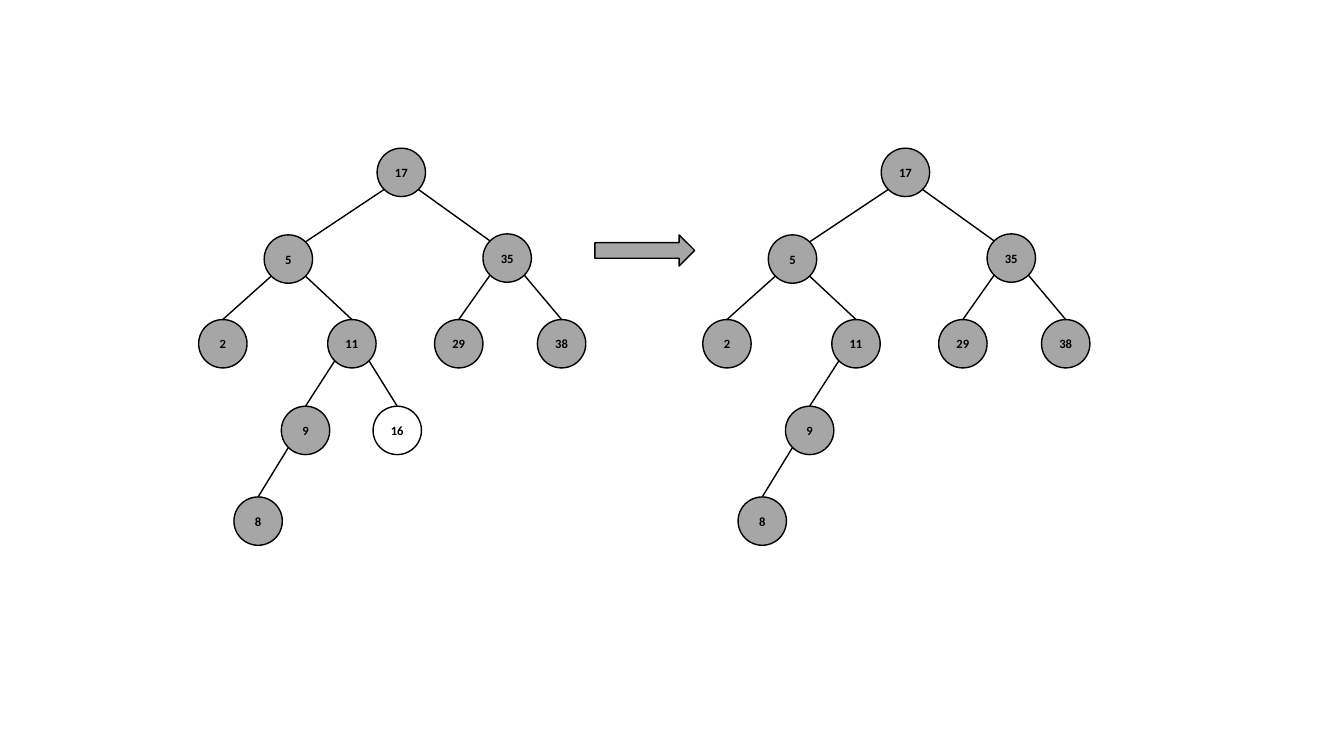
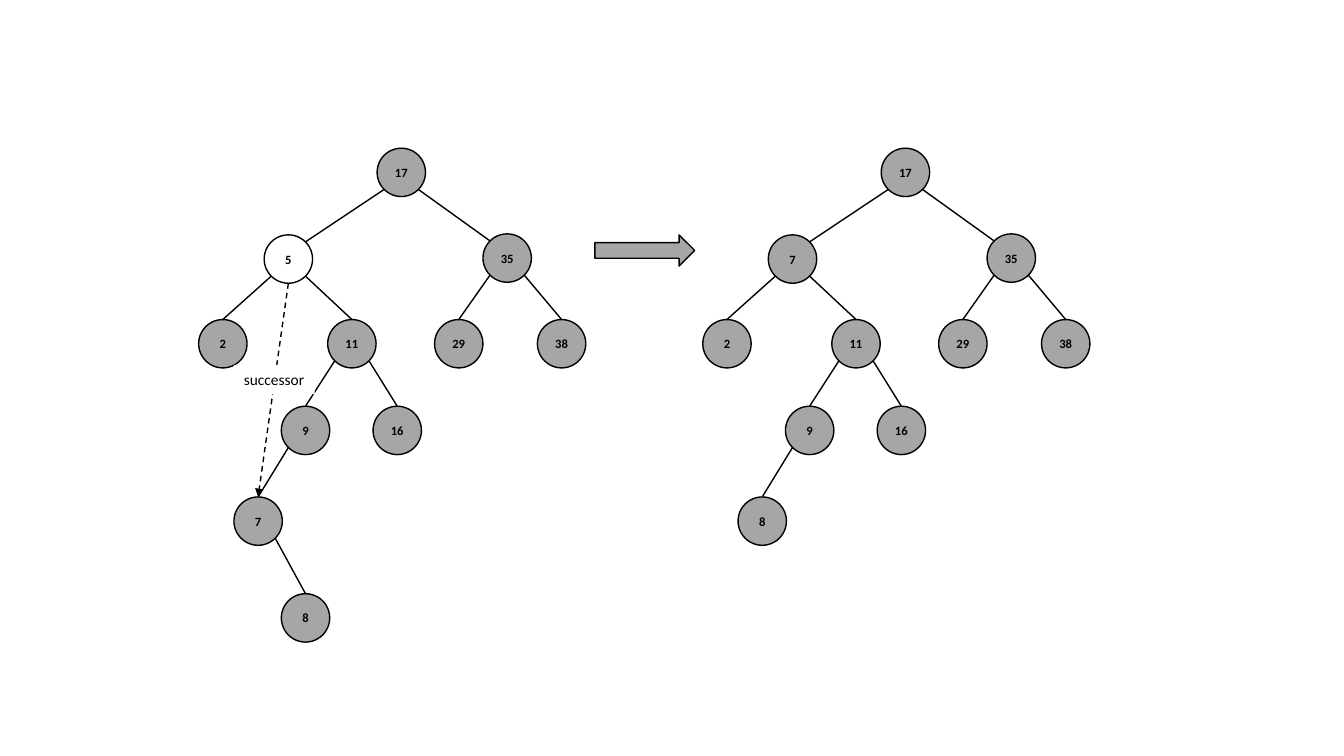
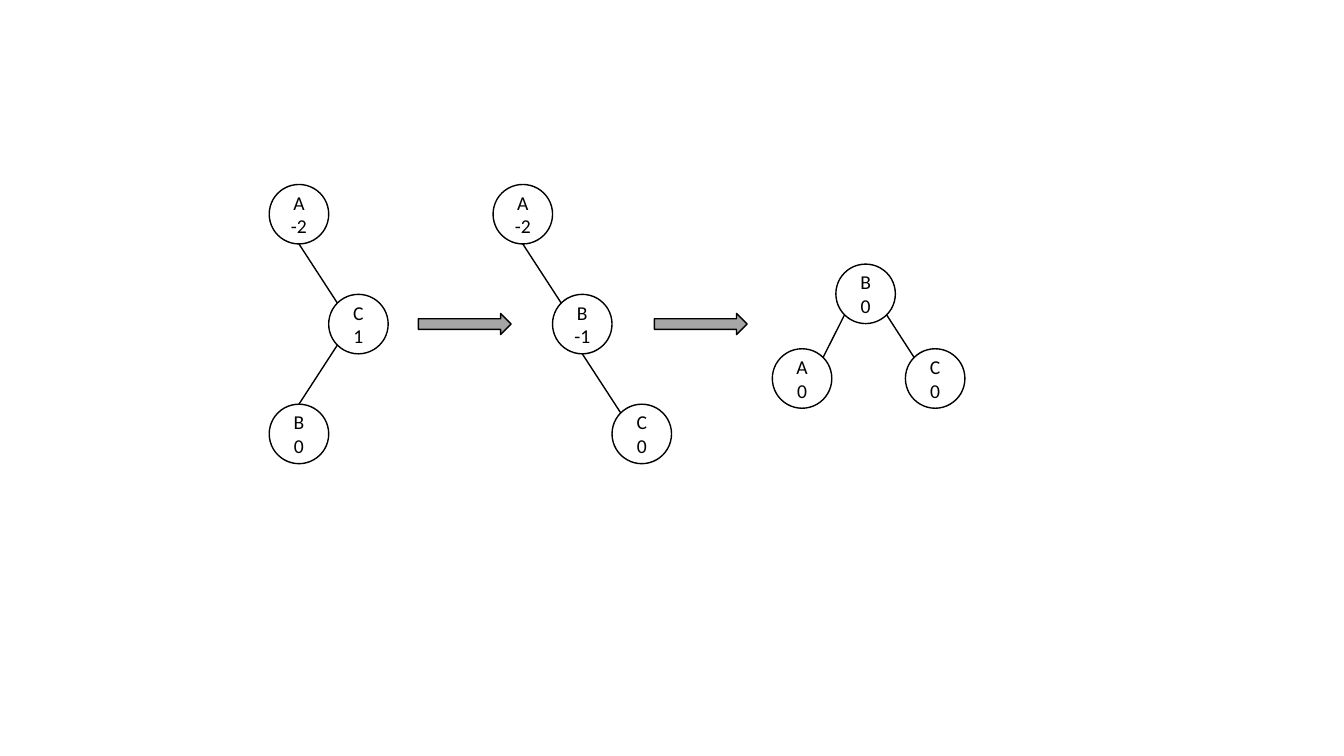
import collections
import math

import lxml.etree
import pptx
import pptx.dml.color
import pptx.enum.dml
import pptx.enum.shapes
import pptx.enum.text
import pptx.oxml.ns
import pptx.util

PX = 9144
COLORS = {"ink": "000000", "grey": "A6A6A6", "white": "FFFFFF"}
FONT = "Calibri"
LINE_WIDTH = pptx.util.Pt(1)
SHAPES = pptx.enum.shapes.MSO_SHAPE
ALIGN = pptx.enum.text.PP_ALIGN

Box = collections.namedtuple("Box", "left top width height")
NodeStyle = collections.namedtuple("NodeStyle", "size points bold")
Node = collections.namedtuple("Node", "left top lines fill")
Edge = collections.namedtuple("Edge", "start start_site end end_site")

SEARCH_STYLE = NodeStyle(48, 9, True)
BALANCE_STYLE = NodeStyle(59, 14, False)

NEAR = 0.5 - math.sqrt(0.125)
FAR = 1 - NEAR
SITES = {
    "top": (0.5, 0),
    "bottom": (0.5, 1),
    "top left": (NEAR, NEAR),
    "top right": (FAR, NEAR),
    "bottom left": (NEAR, FAR),
    "bottom right": (FAR, FAR),
}

SLOTS = {
    "": (177, 0),
    "L": (65, 86),
    "R": (282, 85),
    "LL": (0, 170),
    "LR": (128, 170),
    "RL": (234, 170),
    "RR": (336, 170),
    "LRL": (82, 256),
    "LRR": (173, 256),
    "LRLL": (35, 346),
    "LRLLR": (82, 442),
}
COMMON_KEYS = {
    "": "17", "L": "5", "R": "35", "LL": "2", "LR": "11", "RL": "29",
    "RR": "38", "LRL": "9", "LRR": "16", "LRLL": "8",
}
BEFORE_BOX = Box(197, 147, 384, 490)
AFTER_BOX = BEFORE_BOX._replace(left=697)


def px(length):
    return round(length * PX)


def color(name):
    return pptx.dml.color.RGBColor.from_string(COLORS[name])


def add_child(parent, tag, **attributes):
    return lxml.etree.SubElement(parent, pptx.oxml.ns.qn(tag), attributes)


def paint(shape, fill):
    shape.fill.solid()
    shape.fill.fore_color.rgb = color(fill)


def write(frame, lines, points, bold=False, align=ALIGN.CENTER):
    for index, line in enumerate(lines):
        para = frame.add_paragraph() if index else frame.paragraphs[0]
        para.alignment = align
        span = para.add_run()
        span.text = line
        span.font.name = FONT
        span.font.size = pptx.util.Pt(points)
        span.font.bold = bold
        span.font.color.rgb = color("ink")


def add_outlined(page, kind, box, fill):
    shape = page.shapes.add_shape(kind, *map(px, box))
    shape.shadow.inherit = False
    paint(shape, fill)
    shape.line.color.rgb = color("ink")
    shape.line.width = LINE_WIDTH
    return shape


def add_line(page, start, end):
    line = page.shapes.add_connector(
        pptx.enum.shapes.MSO_CONNECTOR.STRAIGHT, *map(px, start + end))
    line.line.color.rgb = color("ink")
    line.line.width = LINE_WIDTH
    add_child(line._element.spPr, "a:effectLst")
    return line


def add_node(page, box, lines, fill, style):
    shape = add_outlined(page, SHAPES.OVAL, box, fill)
    frame = shape.text_frame
    frame.margin_left = frame.margin_right = 0
    frame.margin_top = frame.margin_bottom = 0
    frame.vertical_anchor = pptx.enum.text.MSO_ANCHOR.MIDDLE
    write(frame, lines, style.points, style.bold)


def site_point(box, node, size, site):
    across, down = SITES[site]
    return (box.left + node.left + across * size,
            box.top + node.top + down * size)


def draw_tree(page, box, nodes, edges, style):
    for node in nodes.values():
        node_box = Box(box.left + node.left, box.top + node.top,
                       style.size, style.size)
        add_node(page, node_box, node.lines, node.fill, style)
    for edge in edges:
        add_line(page,
                 site_point(box, nodes[edge.start], style.size, edge.start_site),
                 site_point(box, nodes[edge.end], style.size, edge.end_site))


def search_edge(slot):
    side, inner = ("left", "right") if slot[-1] == "L" else ("right", "left")
    end_site = "top " + inner if len(slot) == 1 else "top"
    return Edge(slot[:-1], "bottom " + side, slot, end_site)


def draw_search_tree(page, box, keys, removed=None):
    nodes = {
        slot: Node(*SLOTS[slot], [key], "white" if slot == removed else "grey")
        for slot, key in keys.items()
    }
    edges = [search_edge(slot) for slot in keys if slot]
    draw_tree(page, box, nodes, edges, SEARCH_STYLE)


def draw_balance_tree(page, box, labels, edges):
    nodes = {
        name: Node(left, top, [name, balance], "white")
        for name, (left, top, balance) in labels.items()
    }
    draw_tree(page, box, nodes, edges, BALANCE_STYLE)


def draw_successor(page, box):
    size = SEARCH_STYLE.size
    start, end = Node(*SLOTS["L"], [], ""), Node(*SLOTS["LRLL"], [], "")
    arrow = add_line(page, site_point(box, start, size, "bottom"),
                     site_point(box, end, size, "top"))
    arrow.line.dash_style = pptx.enum.dml.MSO_LINE.DASH
    add_child(arrow.line._get_or_add_ln(), "a:tailEnd", type="triangle")
    label = page.shapes.add_textbox(
        *map(px, Box(box.left + 35, box.top + 215, 80, 29)))
    paint(label, "white")
    frame = label.text_frame
    frame.word_wrap = False
    frame.auto_size = pptx.enum.text.MSO_AUTO_SIZE.SHAPE_TO_FIT_TEXT
    write(frame, ["successor"], 11, align=ALIGN.LEFT)


def build_deletion(deck, before, after, removed):
    page = deck.slides.add_slide(deck.slide_layouts[6])
    draw_search_tree(page, BEFORE_BOX, before, removed)
    draw_search_tree(page, AFTER_BOX, after)
    add_outlined(page, SHAPES.RIGHT_ARROW, Box(590, 233, 99, 31), "grey")
    return page


def build_rotation(deck):
    page = deck.slides.add_slide(deck.slide_layouts[6])
    draw_balance_tree(
        page, Box(267, 183, 118, 277),
        {"A": (0, 0, "-2"), "B": (0, 218, "0"), "C": (59, 109, "1")},
        [Edge("A", "bottom", "C", "top left"),
         Edge("C", "bottom left", "B", "top")])
    draw_balance_tree(
        page, Box(489, 183, 177, 277),
        {"A": (0, 0, "-2"), "B": (59, 109, "-1"), "C": (118, 218, "0")},
        [Edge("A", "bottom", "B", "top left"),
         Edge("B", "bottom", "C", "top left")])
    draw_balance_tree(
        page, Box(766, 262, 191, 143),
        {"A": (0, 84, "0"), "B": (63, 0, "0"), "C": (132, 84, "0")},
        [Edge("B", "bottom left", "A", "top right"),
         Edge("B", "bottom right", "C", "top left")])
    for left in (415, 649):
        add_outlined(page, SHAPES.RIGHT_ARROW, Box(left, 311, 92, 21), "grey")


def main():
    deck = pptx.Presentation()
    deck.slide_width = px(1333)
    deck.slide_height = px(750)

    without_leaf = {slot: key for slot, key in COMMON_KEYS.items()
                    if slot != "LRR"}
    build_deletion(deck, COMMON_KEYS, without_leaf, "LRR")

    before = {**COMMON_KEYS, "LRLL": "7", "LRLLR": "8"}
    page = build_deletion(deck, before, {**COMMON_KEYS, "L": "7"}, "L")
    draw_successor(page, BEFORE_BOX)

    build_rotation(deck)
    deck.save("out.pptx")


if __name__ == "__main__":
    main()
